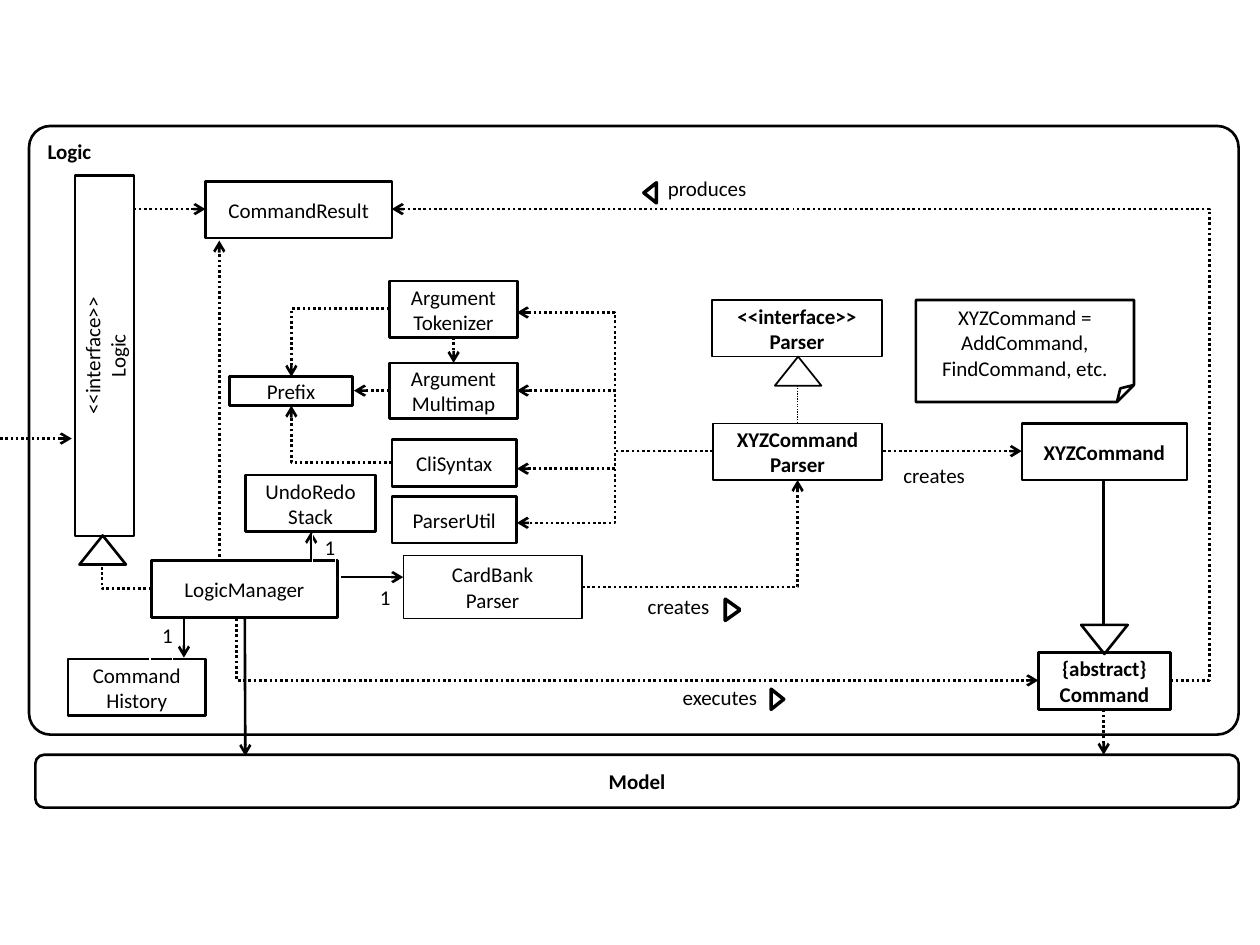
"""Draw the class diagram of the Logic component on one slide."""
from dataclasses import dataclass

import pptx
import pptx.dml.color
import pptx.enum.dml
import pptx.enum.shapes
import pptx.enum.text
import pptx.oxml.ns
import pptx.util
from lxml import etree

Pt = pptx.util.Pt
Kind = pptx.enum.shapes.MSO_SHAPE
Connector = pptx.enum.shapes.MSO_CONNECTOR
Align = pptx.enum.text.PP_ALIGN
Anchor = pptx.enum.text.MSO_ANCHOR
qn = pptx.oxml.ns.qn

BLACK = "000000"
WHITE = "FFFFFF"
FONT = "Calibri"
FONT_SIZE = 12
BOX_HEIGHT = 32.4


@dataclass(frozen=True)
class Box:
    """A framed element; newlines part paragraphs, vertical tabs part lines."""
    text: str
    left: float
    top: float
    width: float
    height: float = BOX_HEIGHT
    bold: bool = False
    weight: float = 1.5
    kind: Kind = Kind.RECTANGLE
    rotation: float = 0
    color: str = BLACK
    align: Align = Align.CENTER
    anchor: Anchor = Anchor.MIDDLE
    inset: bool = True
    corner: float | None = None


@dataclass(frozen=True)
class Link:
    """A straight, one-bend or two-bend connector between two points."""
    start: tuple[float, float]
    end: tuple[float, float]
    bends: int = 0
    middle: float = 0.5
    dotted: bool = True
    arrow: bool = True
    weight: float = 1.5


def label(text: str, left: float, top: float, width: float, align: Align = Align.LEFT) -> Box:
    """Describe a caption beside a connector."""
    return Box(text, left, top, width, 21.6, weight=0.75, color=WHITE,
               align=align, anchor=Anchor.TOP, inset=False)


def triangle(left: float, top: float, width: float, height: float,
             rotation: float = 0, weight: float = 1.5) -> Box:
    """Describe an inheritance head or a reading-direction mark."""
    return Box("", left, top, width, height, weight=weight,
               kind=Kind.ISOSCELES_TRIANGLE, rotation=rotation)


FAN_START, FAN_END = (407.5, 257.8), 295.4
FAN_TOPS = (178.6, 223.2, 267.8, 298.8)

BOXES = [
    Box("Logic", 16.6, 72, 691.2, 347.8, bold=True, kind=Kind.ROUNDED_RECTANGLE,
        align=Align.LEFT, anchor=Anchor.TOP, corner=0.035),
    Box("Model", 20.2, 431.3, 687.6, 30.2, bold=True, kind=Kind.ROUNDED_RECTANGLE),
    Box("<<interface>>\nLogic", -43.2, 186.5, 205.9, 33.8, rotation=270),
    Box("CommandResult", 117.4, 103.7, 106.6),
    Box("LogicManager", 86.4, 320.4, 106.6),
    Box("Command\nHistory", 38.9, 376.6, 78.5),
    Box("UndoRedo\nStack", 140.4, 271.4, 74.2),
    Box("Prefix", 131, 215.3, 70.6, 16.6),
    Box("Argument\vTokenizer", 222.5, 160.6, 73.4),
    Box("Argument\vMultimap", 222.5, 207.4, 73.4, 31.7),
    Box("CliSyntax", 223.9, 251.3, 71.3, 26.6),
    Box("ParserUtil", 223.9, 283.7, 71.3, 26.6),
    Box("CardBank\nParser", 230.4, 317.5, 102.2, 36, weight=0.75),
    Box("<<interface>>\nParser", 406.8, 171.4, 97.2, bold=True, weight=0.75),
    Box("XYZCommand\nParser", 407.5, 241.9, 96.5, bold=True, weight=0.75),
    Box("XYZCommand", 583.9, 241.9, 94.3, bold=True),
    Box("{abstract}\vCommand", 593.3, 373, 75.6, bold=True),
    Box("XYZCommand = AddCommand, FindCommand, etc.", 523.4, 171.4, 124.6, 58.3,
        kind=Kind.FOLDED_CORNER),
    triangle(45.4, 306, 26.6, 16.6),
    triangle(617.8, 357.1, 26.6, 16.6, 180),
    triangle(442.8, 203.8, 26.6, 16.6, weight=1),
    triangle(438.5, 396, 11.5, 7.2, 90, 2),
    triangle(365.8, 106.6, 11.5, 7.2, 270, 2),
    triangle(412.6, 344.2, 12.2, 8.6, 90, 2),
]

LINKS = [
    Link((0, 250.6), (41, 250.6)),
    Link((76.3, 119.5), (117.4, 119.5)),
    Link((668.9, 388.8), (223.9, 119.5), 2, -0.05),
    Link((630.7, 405.4), (630.7, 431.3)),
    Link((86.4, 336.5), (58.3, 322.6), 1, arrow=False),
    Link((139.9, 352.8), (140.2, 432), dotted=False),
    Link((135.2, 353.5), (593.3, 388.8), 2, 0),
    Link((125.3, 321.1), (125.3, 137.5)),
    Link((223.9, 264.2), (166.5, 231.8), 1),
    Link((222.5, 176.4), (166.5, 215.3), 1),
    Link((222.5, 223.2), (202.3, 223.2)),
    Link((259.2, 192.6), (259.2, 207.4)),
    Link((630.7, 357.1), (630.7, 274.3), dotted=False, arrow=False),
    Link((504.7, 257.8), (583.9, 257.8)),
    Link((105.1, 353.5), (105.1, 375.8), dotted=False),
    Link((195.1, 329.8), (230.4, 329.8), dotted=False),
    Link((332.6, 335.5), (455.8, 274.3), 1),
    Link((455.8, 220.3), (455.8, 241.9), arrow=False, weight=0.75),
    Link((177.8, 320.4), (177.8, 303.8), dotted=False),
    *(Link(FAN_START, (FAN_END, top), 2) for top in FAN_TOPS),
]

LABELS = [
    label("produces", 381.6, 100.1, 71.3),
    label("executes", 361.4, 391, 71.3, Align.RIGHT),
    label("creates", 370.1, 339.1, 54),
    label("creates", 516.2, 264.2, 58.3),
    *(label("1", left, top, 13, Align.RIGHT)
      for left, top in ((210.2, 334.1), (85.7, 355.7), (178.6, 305.3))),
]


def color(value: str) -> pptx.dml.color.RGBColor:
    """Turn a hex string into a colour."""
    return pptx.dml.color.RGBColor.from_string(value)


def write_text(shape, box: Box) -> None:
    """Fill a shape with the formatted text of its box."""
    frame = shape.text_frame
    frame.word_wrap = True
    frame.vertical_anchor = box.anchor
    if not box.inset:
        frame.margin_left = frame.margin_right = frame.margin_top = frame.margin_bottom = 0
    for index, content in enumerate(box.text.split("\n")):
        paragraph = frame.add_paragraph() if index else frame.paragraphs[0]
        paragraph.alignment = box.align
        for position, line in enumerate(content.split("\v")):
            if position:
                paragraph.add_line_break()
            run = paragraph.add_run()
            run.text = line
            run.font.name = FONT
            run.font.size = Pt(FONT_SIZE)
            run.font.bold = box.bold
            run.font.color.rgb = color(BLACK)


def draw_box(slide, box: Box) -> None:
    """Add one outlined shape to the slide."""
    shape = slide.shapes.add_shape(
        box.kind, Pt(box.left), Pt(box.top), Pt(box.width), Pt(box.height))
    shape.shadow.inherit = False
    shape.fill.background()
    shape.line.color.rgb = color(box.color)
    shape.line.width = Pt(box.weight)
    shape.rotation = box.rotation
    if box.corner is not None:
        shape.adjustments[0] = box.corner
    if box.text:
        write_text(shape, box)


def draw_link(slide, link: Link) -> None:
    """Add one connector to the slide."""
    kind = Connector.ELBOW if link.bends else Connector.STRAIGHT
    connector = slide.shapes.add_connector(kind, *map(Pt, link.start + link.end))
    connector.line.color.rgb = color(BLACK)
    connector.line.width = Pt(link.weight)
    if link.dotted:
        connector.line.dash_style = pptx.enum.dml.MSO_LINE.ROUND_DOT
    properties = connector._element.spPr
    geometry = properties.find(qn("a:prstGeom"))
    if link.bends == 1:
        geometry.set("prst", "bentConnector2")
    elif link.bends == 2:
        guide = etree.SubElement(geometry.find(qn("a:avLst")), qn("a:gd"))
        guide.set("name", "adj1")
        guide.set("fmla", f"val {round(link.middle * 100000)}")
    if link.arrow:
        etree.SubElement(properties.find(qn("a:ln")), qn("a:tailEnd")).set("type", "arrow")
    etree.SubElement(properties, qn("a:effectLst"))


def main() -> None:
    """Build and save the presentation."""
    presentation = pptx.Presentation()
    presentation.slide_width, presentation.slide_height = Pt(720), Pt(540)
    slide = presentation.slides.add_slide(presentation.slide_layouts[6])
    for box in BOXES:
        draw_box(slide, box)
    for link in LINKS:
        draw_link(slide, link)
    for caption in LABELS:
        draw_box(slide, caption)
    presentation.save("out.pptx")


if __name__ == "__main__":
    main()
